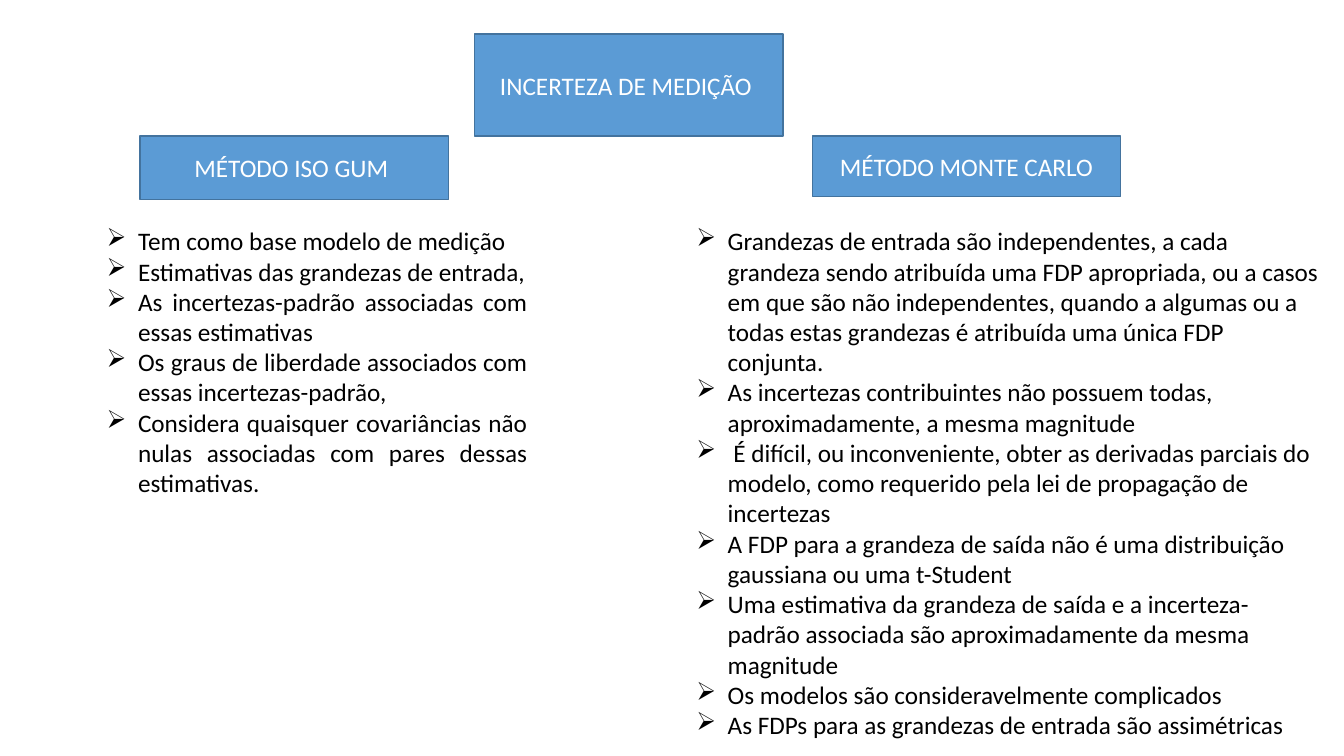
from lxml import etree
from pptx import Presentation
from pptx.dml.color import RGBColor
from pptx.enum.shapes import MSO_SHAPE
from pptx.enum.text import MSO_ANCHOR, MSO_AUTO_SIZE, PP_ALIGN
from pptx.oxml.ns import qn
from pptx.util import Cm, Pt

RECT = MSO_SHAPE.RECTANGLE
MIDDLE = MSO_ANCHOR.MIDDLE
GROW = MSO_AUTO_SIZE.SHAPE_TO_FIT_TEXT
LEFT, CENTER, JUSTIFY = PP_ALIGN.LEFT, PP_ALIGN.CENTER, PP_ALIGN.JUSTIFY

COLORS = {"fill": "5B9BD5", "line": "43739E", "light": "FFFFFF", "dark": "000000"}

HEADER_WIDTH = 7.77
METHOD_TOP = 3.43
LIST_TOP = 5.56

ISO_GUM = [
    "Tem como base modelo de medição ",
    "Estimativas das grandezas de entrada,",
    "As incertezas-padrão associadas com essas estimativas",
    "Os graus de liberdade associados com essas incertezas-padrão, ",
    "Considera quaisquer covariâncias não nulas associadas com pares dessas estimativas.",
]
MONTE_CARLO = [
    "Grandezas de entrada são independentes, a cada grandeza sendo atribuída uma FDP "
    "apropriada, ou a casos em que são não independentes, quando a algumas ou a todas "
    "estas grandezas é atribuída uma única FDP conjunta.",
    "As incertezas contribuintes não possuem todas, aproximadamente, a mesma magnitude",
    " É difícil, ou inconveniente, obter as derivadas parciais do modelo, como requerido "
    "pela lei de propagação de incertezas",
    "A FDP para a grandeza de saída não é uma distribuição gaussiana ou uma t-Student",
    "Uma estimativa da grandeza de saída e a incerteza-padrão associada são "
    "aproximadamente da mesma magnitude",
    "Os modelos são consideravelmente complicados",
    "As FDPs para as grandezas de entrada são assimétricas",
]


class SlideBuilder:
    font = "Calibri"
    size = Pt(18)
    indent = Cm(0.79)

    def __init__(self, slide):
        self.s = slide

    def color(self, name):
        return RGBColor.from_string(COLORS[name])

    def style(self, p, color, align):
        p.alignment = align
        for r in p.runs:
            r.font.name = self.font
            r.font.size = self.size
            r.font.color.rgb = self.color(color)

    def header(self, text, left, top, height):
        sp = self.s.shapes.add_shape(RECT, Cm(left), Cm(top), Cm(HEADER_WIDTH), Cm(height))
        sp.shadow.inherit = False
        sp.fill.solid()
        sp.fill.fore_color.rgb = self.color("fill")
        sp.line.color.rgb = self.color("line")
        sp.line.width = Pt(1)
        tf = sp.text_frame
        tf.vertical_anchor = MIDDLE
        tf.text = text
        self.style(tf.paragraphs[0], "light", CENTER)

    def bullets(self, items, left, width, height, align):
        sp = self.s.shapes.add_textbox(Cm(left), Cm(LIST_TOP), Cm(width), Cm(height))
        tf = sp.text_frame
        tf.word_wrap = True
        tf.auto_size = GROW
        for i, item in enumerate(items):
            p = tf.add_paragraph() if i else tf.paragraphs[0]
            p.text = item
            pPr = p._p.get_or_add_pPr()
            pPr.set("marL", str(self.indent))
            pPr.set("indent", str(-self.indent))
            etree.SubElement(pPr, qn("a:buChar")).set("char", "➢")
            self.style(p, "dark", align)


def main():
    prs = Presentation()
    prs.slide_width, prs.slide_height = Cm(33.87), Cm(19.05)
    b = SlideBuilder(prs.slides.add_slide(prs.slide_layouts[6]))
    b.header("INCERTEZA DE MEDIÇÃO ", 11.96, 0.86, 2.57)
    b.header("MÉTODO ISO GUM ", 3.53, METHOD_TOP, 1.6)
    b.header("MÉTODO MONTE CARLO", 20.47, METHOD_TOP, 1.52)
    b.bullets(ISO_GUM, 2.44, 11.1, 7.19, JUSTIFY)
    b.bullets(MONTE_CARLO, 17.3, 16.23, 13.34, LEFT)
    prs.save("out.pptx")


if __name__ == "__main__":
    main()
